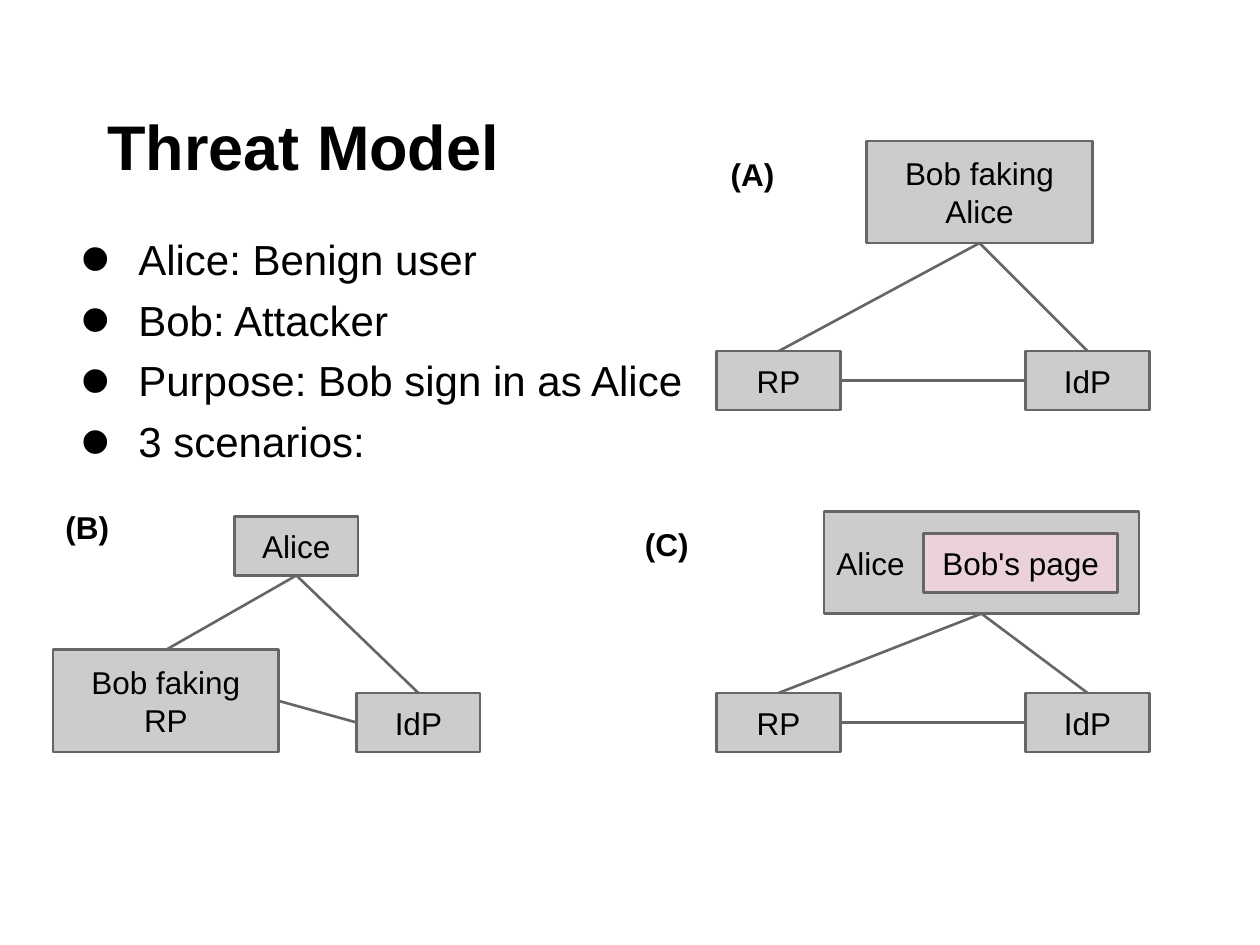
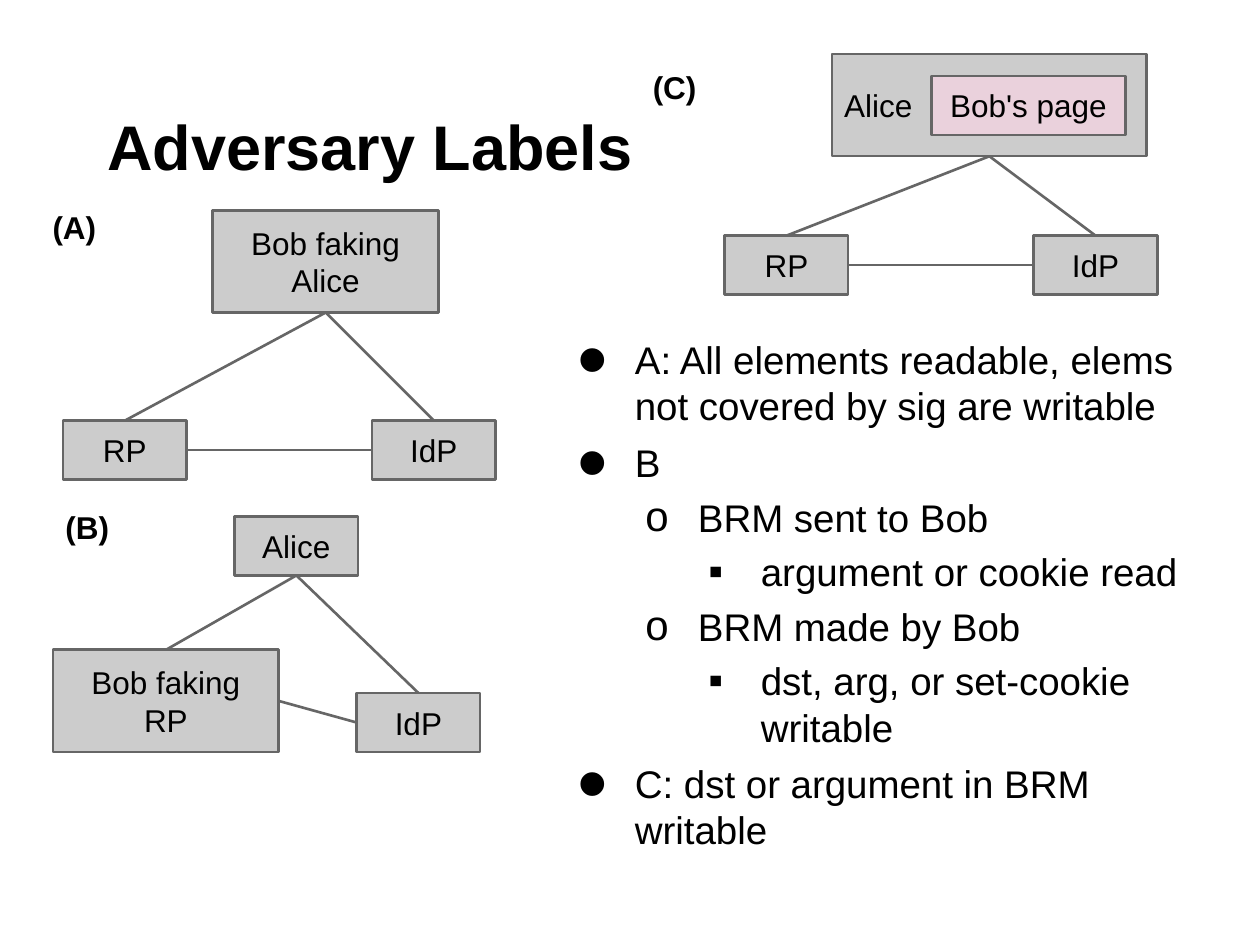
from dataclasses import dataclass

from lxml.etree import SubElement
from pptx import Presentation
from pptx.dml.color import RGBColor
from pptx.enum.shapes import MSO_CONNECTOR, MSO_SHAPE
from pptx.enum.text import MSO_ANCHOR as Anchor, MSO_AUTO_SIZE as AutoSize, PP_ALIGN as Align
from pptx.oxml.ns import qn
from pptx.util import Cm, Pt

TOP, LEFT, BOTTOM, RIGHT = range(4)
TITLE_ONLY = 5


@dataclass(frozen=True)
class Theme:
    font: str = "Arial"
    ink: str = "000000"
    party: str = "CCCCCC"
    page: str = "EAD1DC"
    edge: str = "666666"
    title_size: float = 36
    label_size: float = 18
    edge_width: float = 1.5
    inset: float = 0.25
    # per level: mark, mark size (pt), left margin (cm), hang (cm), space before (pt)
    levels: tuple = (("•", 50, 1.27, 1.16, 6),
                     ("o", 24, 2.54, 1.06, 4.8),
                     ("▪", 24, 3.81, 1.06, 4.8))


SMALL = (2.49, 1.19)
LARGE = (4.55, 2.06)
BROWSER = (6.35, 2.06)
PAGE = (3.91, 1.19)
LABEL = (2.41, 2.01)


class Deck:
    def __init__(self, theme):
        self.theme = theme
        self.prs = Presentation()
        self.prs.slide_width, self.prs.slide_height = Cm(25.4), Cm(19.05)
        self.slide = None

    def start(self, title):
        """Add a slide and make it the current one."""
        self.slide = self.prs.slides.add_slide(self.prs.slide_layouts[TITLE_ONLY])
        heading = self.slide.shapes.title
        heading.left, heading.top = Cm(1.27), Cm(0.76)
        heading.width, heading.height = Cm(22.86), Cm(3.18)
        heading.text_frame.text = title
        self.style(heading.text_frame, self.theme.title_size, Anchor.BOTTOM, bold=True)
        props = heading.text_frame.paragraphs[0]._p.get_or_add_pPr()
        props.set("marL", "0")
        props.set("indent", str(Cm(0.64)))

    def style(self, frame, size, anchor=Anchor.TOP, align=Align.LEFT, bold=False):
        frame.word_wrap = True
        frame.auto_size = AutoSize.NONE
        frame.vertical_anchor = anchor
        frame.margin_left = frame.margin_right = Cm(self.theme.inset)
        frame.margin_top = frame.margin_bottom = Cm(self.theme.inset)
        for paragraph in frame.paragraphs:
            paragraph.alignment = align
            for run in paragraph.runs:
                run.font.name = self.theme.font
                run.font.size = Pt(size)
                run.font.bold = bold
                run.font.color.rgb = RGBColor.from_string(self.theme.ink)

    def box(self, text, x, y, size, fill=None, align=Align.CENTER):
        party = self.slide.shapes.add_shape(
            MSO_SHAPE.RECTANGLE, Cm(x), Cm(y), *map(Cm, size))
        party.shadow.inherit = False
        party.fill.solid()
        party.fill.fore_color.rgb = RGBColor.from_string(fill or self.theme.party)
        party.line.color.rgb = RGBColor.from_string(self.theme.edge)
        party.line.width = Pt(self.theme.edge_width)
        party.text_frame.text = text
        self.style(party.text_frame, self.theme.label_size, Anchor.MIDDLE, align)
        return party

    def link(self, start, start_side, end, end_side):
        channel = self.slide.shapes.add_connector(MSO_CONNECTOR.STRAIGHT, 0, 0, 0, 0)
        channel.begin_connect(start, start_side)
        channel.end_connect(end, end_side)
        channel.line.color.rgb = RGBColor.from_string(self.theme.edge)
        channel.line.width = Pt(self.theme.edge_width)
        SubElement(channel._element.spPr, qn("a:effectLst"))

    def triangle(self, user, rp, idp):
        """Link the user to both sites, and the sites to each other."""
        self.link(user, BOTTOM, rp, TOP)
        self.link(user, BOTTOM, idp, TOP)
        self.link(rp, RIGHT, idp, LEFT)

    def label(self, text, x, y):
        tag = self.slide.shapes.add_textbox(Cm(x), Cm(y), *map(Cm, LABEL))
        tag.text_frame.text = text
        self.style(tag.text_frame, self.theme.label_size, bold=True)

    def bullets(self, items, x, y, width, height, size):
        """Write (level, text) items as a bulleted list."""
        frame = self.slide.shapes.add_textbox(Cm(x), Cm(y), Cm(width), Cm(height)).text_frame
        frame.text = "\n".join(text for _, text in items)
        self.style(frame, size)
        for paragraph, (level, _) in zip(frame.paragraphs, items):
            mark, mark_size, margin, hang, before = self.theme.levels[level]
            paragraph.level = level
            paragraph.space_before = Pt(before)
            props = paragraph._p.get_or_add_pPr()
            props.set("marL", str(Cm(margin)))
            props.set("indent", str(-Cm(hang)))
            colour = SubElement(props, qn("a:buClr"))
            SubElement(colour, qn("a:srgbClr"), val=self.theme.ink)
            percent = round(100 * mark_size / size)
            SubElement(props, qn("a:buSzPct"), val=str(percent * 1000))
            SubElement(props, qn("a:buFont"), typeface=self.theme.font)
            SubElement(props, qn("a:buChar"), char=mark)

    def fake_user(self, x, y, label_dx, label_dy):
        """Scenario A, with the left of RP at x and the top of the user at y."""
        user = self.box("Bob faking Alice", x + 3.02, y, LARGE)
        rp = self.box("RP", x, y + 4.24, SMALL)
        idp = self.box("IdP", x + 6.23, y + 4.24, SMALL)
        self.triangle(user, rp, idp)
        self.label("(A)", x + label_dx, y + label_dy)

    def fake_rp(self, x, y):
        """Scenario B, with the left of RP at x and the top of the user at y."""
        user = self.box("Alice", x + 3.66, y, SMALL)
        rp = self.box("Bob faking RP", x, y + 2.69, LARGE)
        idp = self.box("IdP", x + 6.12, y + 3.56, SMALL)
        self.triangle(user, rp, idp)
        self.label("(B)", x, y - 0.41)

    def bad_page(self, x, y):
        """Scenario C, with the left of RP at x and the top of the user at y."""
        user = self.box("Alice", x + 2.16, y, BROWSER, align=Align.LEFT)
        self.box("Bob's page", x + 4.17, y + 0.44, PAGE, self.theme.page)
        rp = self.box("RP", x, y + 3.66, SMALL)
        idp = self.box("IdP", x + 6.23, y + 3.66, SMALL)
        self.triangle(user, rp, idp)
        self.label("(C)", x - 1.7, y + 0.03)


def main():
    deck = Deck(Theme())

    deck.start("Threat Model")
    deck.bullets([(0, "Alice: Benign user"),
                  (0, "Bob: Attacker"),
                  (0, "Purpose: Bob sign in as Alice"),
                  (0, "3 scenarios:")], 1.27, 4.45, 22.86, 13.79, size=24)
    deck.fake_user(14.45, 2.84, 0.03, 0.03)
    deck.fake_rp(1.07, 10.41)
    deck.bad_page(14.45, 10.31)

    deck.start("Adversary Labels")
    deck.bullets([(0, "A: All elements readable, elems not covered by sig are writable"),
                  (0, "B"),
                  (1, "BRM sent to Bob"),
                  (2, "argument or cookie read"),
                  (1, "BRM made by Bob"),
                  (2, "dst, arg, or set-cookie writable"),
                  (0, "C: dst or argument in BRM writable")],
                 11.28, 6.53, 13.26, 12.37, size=22)
    deck.fake_user(1.27, 4.24, -0.46, -0.3)
    deck.fake_rp(1.07, 10.41)
    deck.bad_page(14.61, 1.09)

    deck.prs.save("out.pptx")


if __name__ == "__main__":
    main()
